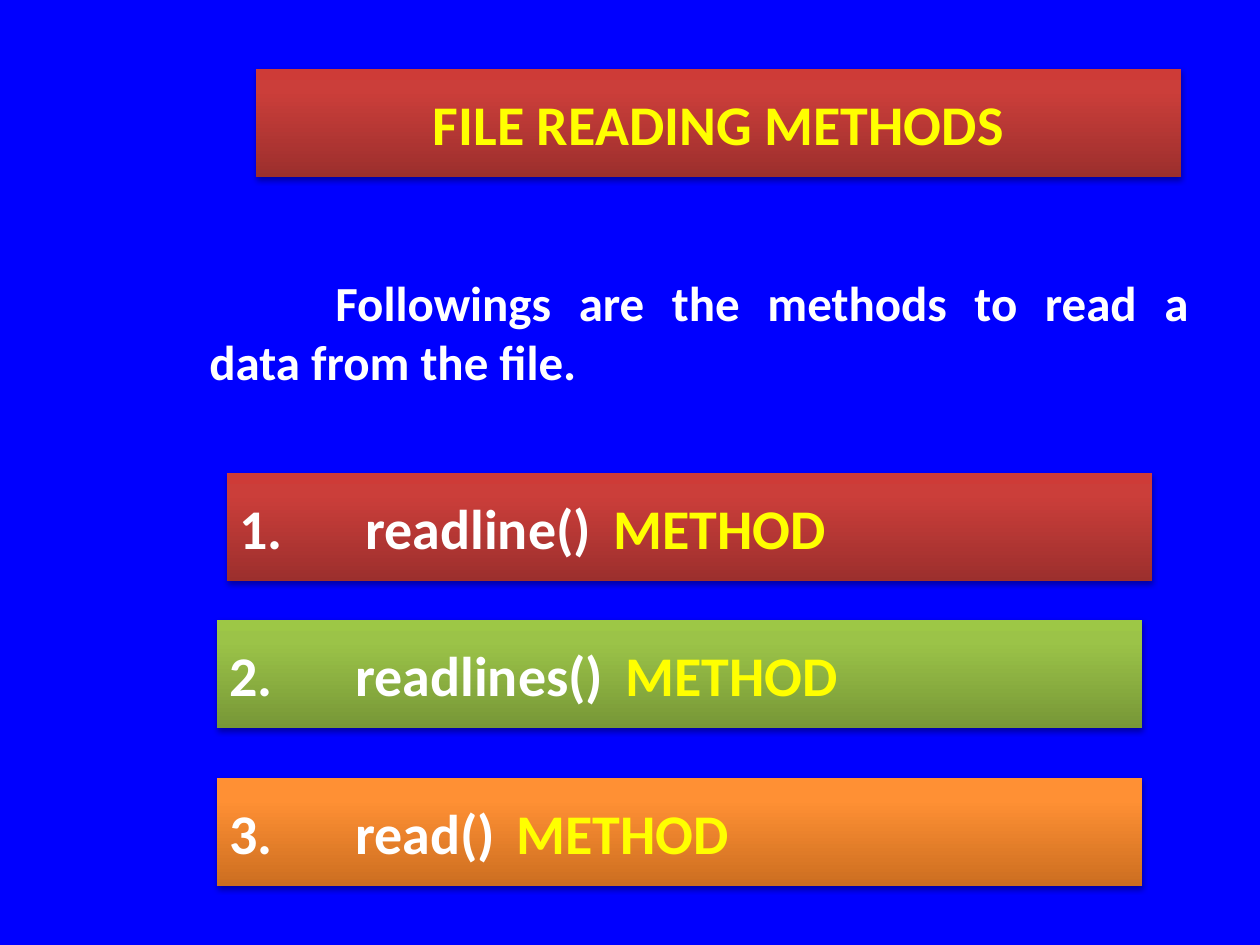
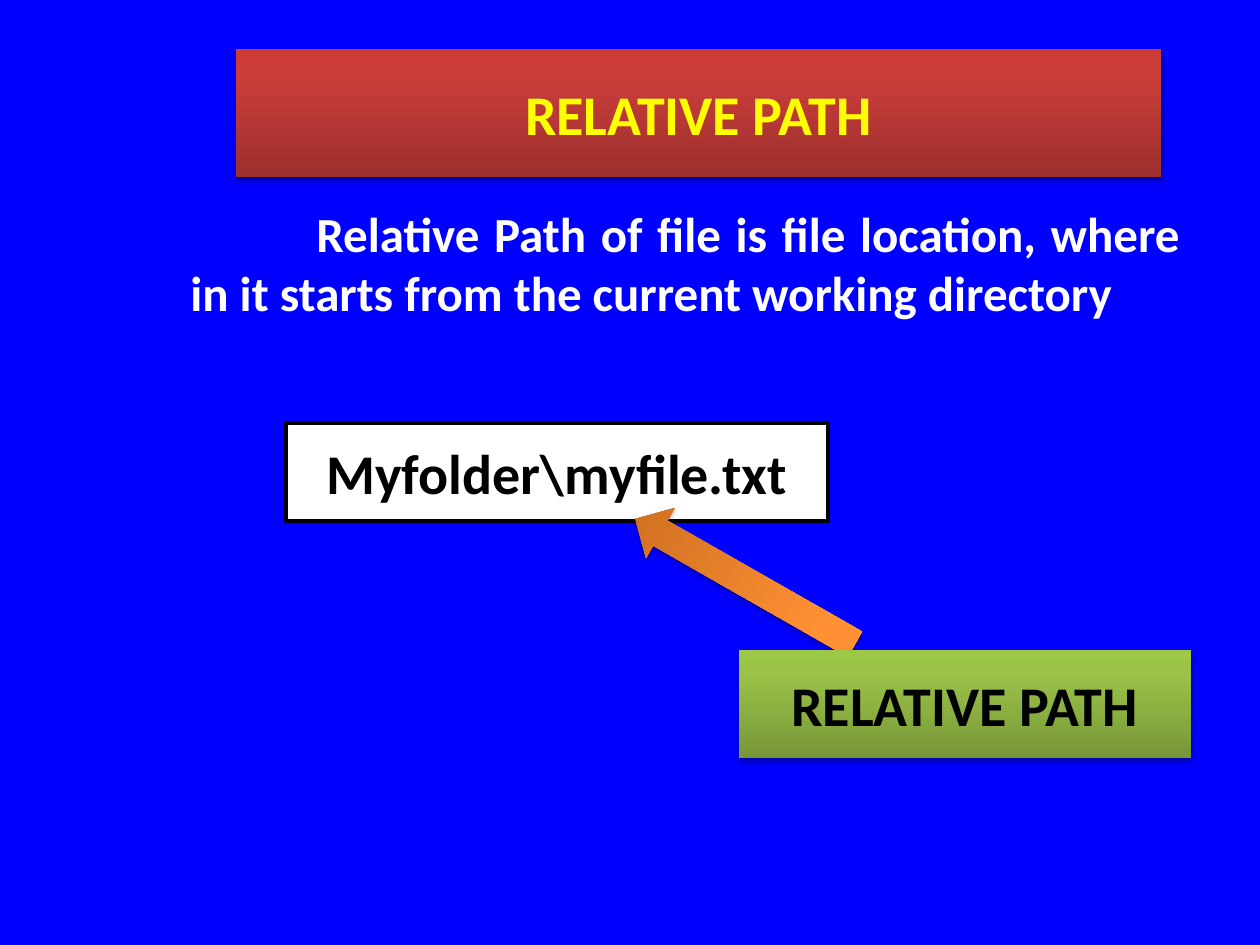
from dataclasses import dataclass

from lxml import etree
from pptx import Presentation
from pptx.dml.color import RGBColor
from pptx.enum.shapes import MSO_SHAPE
from pptx.enum.text import MSO_ANCHOR, PP_ALIGN
from pptx.oxml.ns import qn
from pptx.util import Emu, Pt

RECT, DOWN_ARROW = MSO_SHAPE.RECTANGLE, MSO_SHAPE.DOWN_ARROW
MIDDLE, TOP = MSO_ANCHOR.MIDDLE, MSO_ANCHOR.TOP
LEFT, CENTER, JUSTIFY = PP_ALIGN.LEFT, PP_ALIGN.CENTER, PP_ALIGN.JUSTIFY
PX_PER_INCH = 126


@dataclass(frozen=True)
class Theme:
    font: str = "Calibri"
    heading: int = 32
    body: int = 28
    background: str = "0000FF"
    accent: str = "FFFF00"
    white: str = "FFFFFF"
    black: str = "000000"
    red: tuple = ("9C2F2D", "CB3E3A", "CE3B37")
    green: tuple = ("779737", "9BC348", "9DC746")
    orange: tuple = ("CC6E20", "FF9034", "FF9136")
    stops: tuple = (0, 80, 100)
    tab: int = 126


T = Theme()


def px(n):
    return Emu(round(n * 914400 / PX_PER_INCH))


def rgb(color):
    return RGBColor.from_string(color)


def add(parent, tag, **attrs):
    return etree.SubElement(parent, qn(tag), {k: str(v) for k, v in attrs.items()})


def write(sp, text, size=T.heading, colors=(T.white,), align=CENTER,
          anchor=MIDDLE, indent=0, tabs=()):
    tf = sp.text_frame
    tf.word_wrap = True
    tf.vertical_anchor = anchor
    p = tf.paragraphs[0]
    p.alignment = align
    pPr = p._p.get_or_add_pPr()
    if indent:
        pPr.set("indent", str(px(indent)))
    if tabs:
        tab_list = add(pPr, "a:tabLst")
        for tab in tabs:
            add(tab_list, "a:tab", pos=px(tab), algn="l")
    parts = (text,) if isinstance(text, str) else text
    for part, color in zip(parts, colors):
        r = p.add_run()
        r.text = part
        r.font.name, r.font.size, r.font.bold = T.font, Pt(size), True
        r.font.color.rgb = rgb(color)


def add_shape(s, kind, box):
    sp = s.shapes.add_shape(kind, *map(px, box))
    sp.shadow.inherit = False
    sp.line.fill.background()
    return sp


def glossy_shape(s, kind, box, gradient):
    sp = add_shape(s, kind, box)
    sp.fill.gradient()
    sp.fill.gradient_angle = 90
    spPr = sp._element.spPr
    gs_list = spPr.find(qn("a:gradFill")).find(qn("a:gsLst"))
    for gs in list(gs_list):
        gs_list.remove(gs)
    for pos, color in zip(T.stops, gradient):
        add(add(gs_list, "a:gs", pos=pos * 1000), "a:srgbClr", val=color)
    shadow = add(spPr.find(qn("a:effectLst")), "a:outerShdw", blurRad=Pt(3.1),
                 dist=Pt(1.8), dir=5400000, rotWithShape=0)
    add(add(shadow, "a:srgbClr", val=T.black), "a:alpha", val=35000)
    return sp


def banner(s, box, text, gradient=T.red, color=T.accent):
    write(glossy_shape(s, RECT, box, gradient), text, colors=(color,))


def intro(s, box, text):
    sp = s.shapes.add_textbox(*map(px, box))
    write(sp, text, size=T.body, align=JUSTIFY, anchor=TOP, indent=T.tab)


def method_row(s, box, number, name, gradient, label_tab):
    sp = glossy_shape(s, RECT, box, gradient)
    write(sp, (f"{number}.\t{name}\t", "METHOD"), colors=(T.white, T.accent),
          align=LEFT, tabs=(T.tab, label_tab))


def path_example(s, box, text):
    left, top, width, height = box
    sp = add_shape(s, RECT, (left, top, 542, 98))
    sp.fill.solid()
    sp.fill.fore_color.rgb = rgb(T.white)
    sp.line.color.rgb = rgb(T.black)
    sp.line.width = Pt(2)
    write(sp, text, colors=(T.black,))
    arrow = glossy_shape(s, DOWN_ARROW, (left + 430, top + 32, 58, 253), T.orange)
    arrow.rotation = 119.7
    banner(s, (left + width - 452, top + height - 108, 452, 108),
           "RELATIVE PATH", T.green, T.black)


def new_slide(prs):
    s = prs.slides.add_slide(prs.slide_layouts[6])
    s.background.fill.solid()
    s.background.fill.fore_color.rgb = rgb(T.background)
    return s


def reading_methods_slide(prs):
    s = new_slide(prs)
    banner(s, (256, 69, 925, 108), "FILE READING METHODS")
    intro(s, (197, 266, 1004, 131),
          "Followings are the methods to read a data from the file.")
    methods = (
        (227, 473, "readline()", T.red, 374),
        (217, 620, "readlines()", T.green, 396),
        (217, 778, "read()", T.orange, 287),
    )
    for number, (left, top, name, gradient, label_tab) in enumerate(methods, 1):
        method_row(s, (left, top, 925, 108), number, name, gradient, label_tab)


def relative_path_slide(prs):
    s = new_slide(prs)
    banner(s, (236, 49, 925, 128), "RELATIVE PATH")
    intro(s, (178, 197, 1014, 131),
          "Relative Path of file is file location, where in it starts "
          "from the current working directory")
    path_example(s, (286, 423, 905, 335), "Myfolder\\myfile.txt")


def main():
    prs = Presentation()
    prs.slide_width, prs.slide_height = px(1260), px(945)
    reading_methods_slide(prs)
    relative_path_slide(prs)
    prs.save("out.pptx")


if __name__ == "__main__":
    main()
